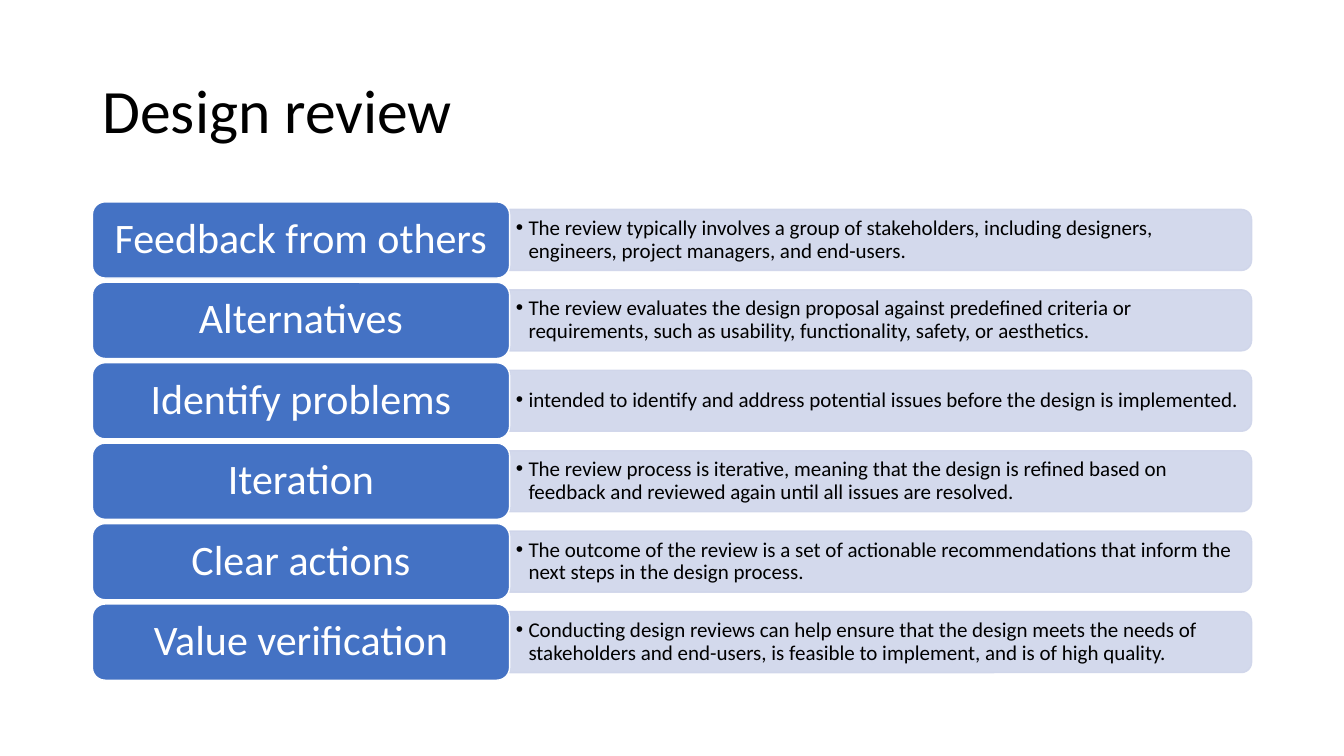
from lxml import etree
from pptx import Presentation
from pptx.dml.color import RGBColor
from pptx.enum.shapes import MSO_SHAPE
from pptx.enum.text import MSO_ANCHOR, MSO_AUTO_SIZE, PP_ALIGN
from pptx.oxml.ns import qn
from pptx.util import Pt

ROUNDED = MSO_SHAPE.ROUNDED_RECTANGLE
ROUND_TOP = MSO_SHAPE.ROUND_2_SAME_RECTANGLE
MIDDLE = MSO_ANCHOR.MIDDLE
NO_AUTOFIT = MSO_AUTO_SIZE.NONE
LEFT, CENTER = PP_ALIGN.LEFT, PP_ALIGN.CENTER

BLACK = RGBColor(0x00, 0x00, 0x00)
WHITE = RGBColor(0xFF, 0xFF, 0xFF)
BLUE = RGBColor(0x44, 0x72, 0xC4)
PALE = RGBColor(0xCF, 0xD5, 0xEA)

# Row geometry in points
TOP, PITCH = 144.2, 57.45
LABEL_LEFT, LABEL_W, LABEL_H = 66, 298, 54.4
BAR_LEFT, BAR_W, BAR_H = 364, 530, 43.6

ROWS = [
    ("Feedback from others",
     "The review typically involves a group of stakeholders, including designers, "
     "engineers, project managers, and end-users."),
    ("Alternatives",
     "The review evaluates the design proposal against predefined criteria or "
     "requirements, such as usability, functionality, safety, or aesthetics."),
    ("Identify problems",
     "intended to identify and address potential issues before the design is "
     "implemented."),
    ("Iteration",
     "The review process is iterative, meaning that the design is refined based on "
     "feedback and reviewed again until all issues are resolved."),
    ("Clear actions",
     "The outcome of the review is a set of actionable recommendations that inform "
     "the next steps in the design process."),
    ("Value verification",
     "Conducting design reviews can help ensure that the design meets the needs of "
     "stakeholders and end-users, is feasible to implement, and is of high quality."),
]


class SlideBuilder:
    font = "Calibri"

    def __init__(self, slide):
        self.slide = slide

    def set_text(self, sp, text, size, color, align, inset_x, inset_y):
        tf = sp.text_frame
        tf.text = text
        tf.word_wrap = True
        tf.auto_size = NO_AUTOFIT
        tf.vertical_anchor = MIDDLE
        tf.margin_left = tf.margin_right = Pt(inset_x)
        tf.margin_top = tf.margin_bottom = Pt(inset_y)
        p = tf.paragraphs[0]
        p.alignment = align
        p.line_spacing = 0.9
        font = p.runs[0].font
        font.name, font.size, font.color.rgb = self.font, Pt(size), color
        return p

    def title(self, text):
        sp = self.slide.shapes.title
        sp.left, sp.top, sp.width, sp.height = Pt(66), Pt(28.75), Pt(828), Pt(104.4)
        self.set_text(sp, text, 44, BLACK, LEFT, 7.2, 3.6)

    def shape(self, kind, x, y, w, h, fill, line):
        sp = self.slide.shapes.add_shape(kind, Pt(x), Pt(y), Pt(w), Pt(h))
        sp.shadow.inherit = False
        sp.fill.solid()
        sp.fill.fore_color.rgb = fill
        sp.line.color.rgb = line
        sp.line.width = Pt(1)
        return sp

    def label(self, text, y):
        sp = self.shape(ROUNDED, LABEL_LEFT, y, LABEL_W, LABEL_H, BLUE, WHITE)
        self.set_text(sp, text, 30, WHITE, CENTER, 11, 6)

    def bar(self, middle):
        # A tall shape turned a quarter, so that its round corners face right
        sp = self.shape(ROUND_TOP, BAR_LEFT + (BAR_W - BAR_H) / 2,
                        middle - BAR_W / 2, BAR_H, BAR_W, PALE, PALE)
        sp.rotation = 90
        for clr in sp._element.spPr.iter(qn("a:srgbClr")):
            etree.SubElement(clr, qn("a:alpha"), val="90000")

    def bullet(self, text, middle):
        h = 39.4
        sp = self.slide.shapes.add_textbox(Pt(BAR_LEFT), Pt(middle - h / 2),
                                           Pt(528), Pt(h))
        p = self.set_text(sp, text, 15, BLACK, LEFT, 4.5, 2.25)
        pPr = p._p.get_or_add_pPr()
        pPr.set("marL", str(Pt(9)))
        pPr.set("indent", str(-Pt(9)))
        etree.SubElement(pPr, qn("a:buFont"), typeface="Arial")
        etree.SubElement(pPr, qn("a:buChar"), char="•")


def main():
    prs = Presentation()
    prs.slide_width, prs.slide_height = Pt(960), Pt(540)
    s = SlideBuilder(prs.slides.add_slide(prs.slide_layouts[5]))

    # Title
    s.title("Design review")

    # Rows: bar, its text, then the label
    for i, (name, detail) in enumerate(ROWS):
        y = TOP + i * PITCH
        middle = y + LABEL_H / 2
        s.bar(middle)
        s.bullet(detail, middle)
        s.label(name, y)

    prs.save("out.pptx")


if __name__ == "__main__":
    main()
